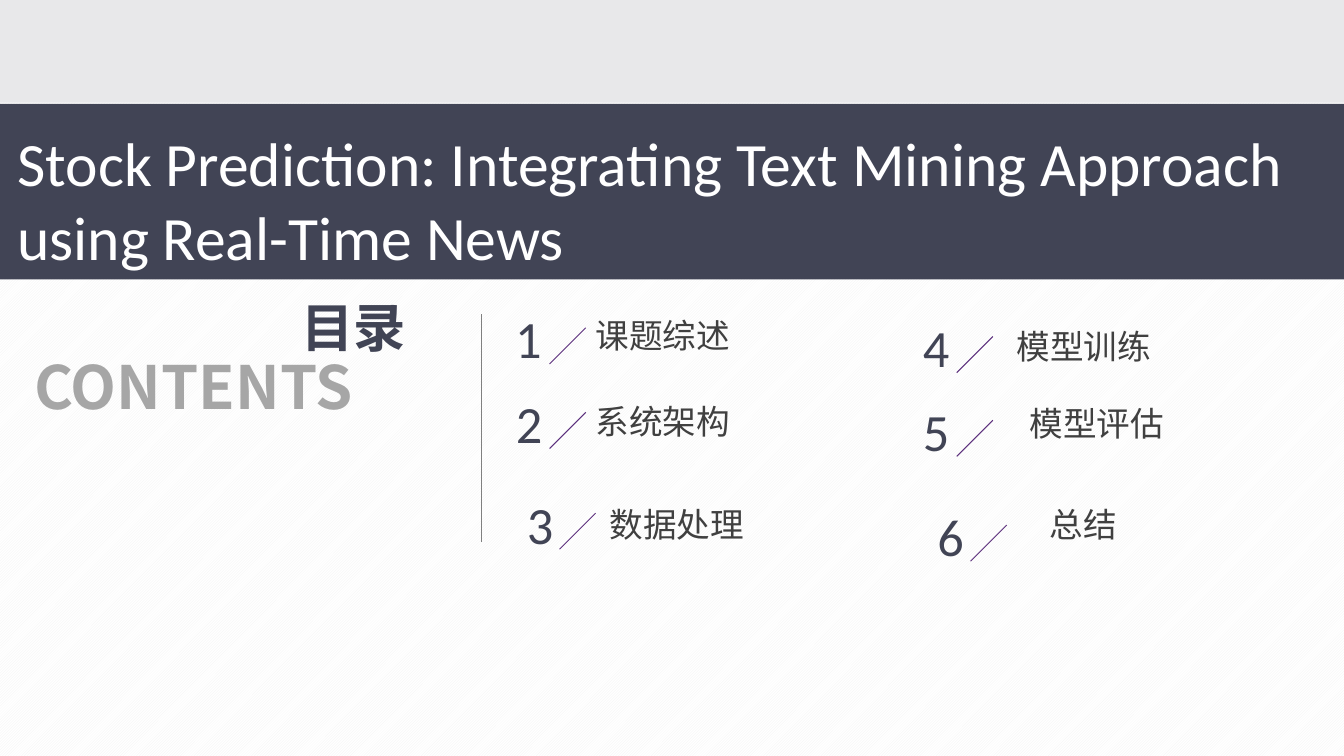
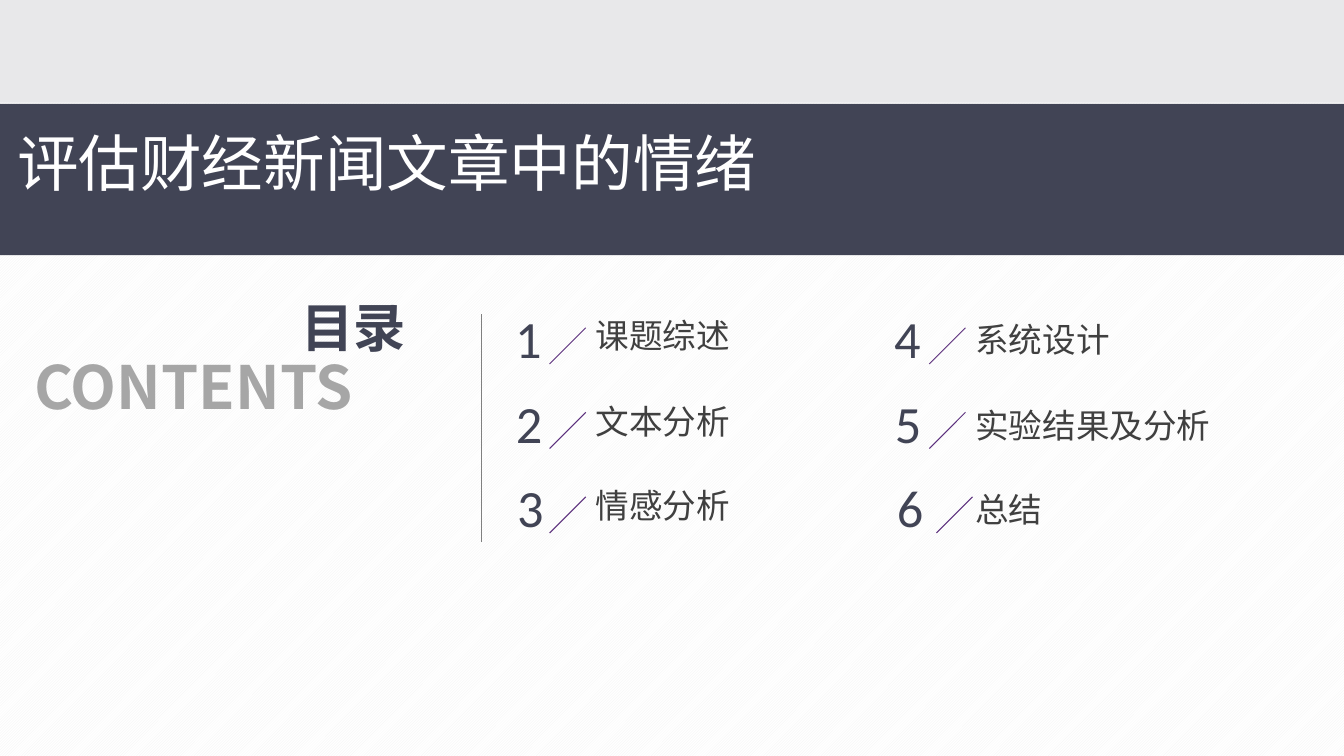
from dataclasses import dataclass

from lxml import etree
from pptx import Presentation
from pptx.dml.color import RGBColor
from pptx.enum.dml import MSO_PATTERN
from pptx.enum.shapes import MSO_CONNECTOR, MSO_SHAPE
from pptx.enum.text import MSO_ANCHOR, MSO_AUTO_SIZE, PP_ALIGN
from pptx.oxml.ns import qn
from pptx.util import Cm, Pt

LEFT, MID = PP_ALIGN.LEFT, PP_ALIGN.CENTER
TOP = MSO_ANCHOR.TOP
GROW = MSO_AUTO_SIZE.SHAPE_TO_FIT_TEXT
RECT = MSO_SHAPE.RECTANGLE
LINE = MSO_CONNECTOR.STRAIGHT
HATCH = MSO_PATTERN.LIGHT_UPWARD_DIAGONAL
TITLE_ONLY = 5
WIDE, HIGH = 33.87, 19.05


@dataclass(frozen=True)
class Theme:
    navy: str = "414455"
    pale: str = "E8E8EA"
    gray: str = "A6A6A6"
    ink: str = "404040"
    rule: str = "808080"
    slash: str = "5C307D"
    hatch: str = "F2F2F2"
    white: str = "FFFFFF"
    latin: str = "Calibri"
    han: str = "Noto Sans CJK SC"
    title: float = 44
    large: float = 42.6
    head: float = 37.4
    label: float = 24
    thin: float = 0.75


def rgb(code):
    return RGBColor.from_string(code)


def write(shape, text, *, size, color, font, bold=False, align=LEFT, wrap=False):
    frame = shape.text_frame
    frame.word_wrap = wrap
    frame.auto_size = GROW
    frame.vertical_anchor = TOP
    para = frame.paragraphs[0]
    para.alignment = align
    run = para.add_run()
    run.text = text
    run.font.size = Pt(size)
    run.font.bold = bold
    run.font.name = font
    run.font.color.rgb = rgb(color)
    east = etree.SubElement(run.font._element, qn("a:ea"))
    east.set("typeface", Theme.han)


class Deck:
    def __init__(self, theme):
        self.theme = theme
        self.file = Presentation()
        self.file.slide_width = Cm(WIDE)
        self.file.slide_height = Cm(HIGH)
        self.base = self.file.slide_layouts[TITLE_ONLY]
        self.slide = None
        fill = self.file.slide_master.background.fill
        fill.patterned()
        fill.pattern = HATCH
        fill.fore_color.rgb = rgb(theme.hatch)
        fill.back_color.rgb = rgb(theme.white)

    def page(self):
        first = self.slide is None
        self.slide = self.file.slides.add_slide(self.base)
        if first:
            strip = self.band(0, 2.59, self.theme.pale)
            self.base.shapes.element.append(strip.element)

    def band(self, top, high, color):
        shape = self.slide.shapes.add_shape(RECT, 0, Cm(top), Cm(WIDE), Cm(high))
        shape.shadow.inherit = False
        shape.fill.solid()
        shape.fill.fore_color.rgb = rgb(color)
        shape.line.fill.background()
        return shape

    def title(self, text, high, deep):
        self.band(2.62, deep, self.theme.navy)
        shape = self.slide.shapes.title
        shape.left, shape.top = Cm(0.18), Cm(3.02)
        shape.width, shape.height = Cm(33.69), Cm(high)
        write(shape, text, size=self.theme.title, color=self.theme.white,
              font=self.theme.latin, wrap=True)
        self.slide.shapes.element.append(shape.element)

    def text(self, text, left, top, wide, high, home=None, **form):
        shapes = home or self.slide.shapes
        box = shapes.add_textbox(Cm(left), Cm(top), Cm(wide), Cm(high))
        write(box, text, **form)

    def line(self, start, end, color, home=None):
        shapes = home or self.slide.shapes
        line = shapes.add_connector(LINE, *map(Cm, start + end))
        line.line.color.rgb = rgb(color)
        line.line.width = Pt(self.theme.thin)
        etree.SubElement(line._element.spPr, qn("a:effectLst"))

    def heading(self):
        look = self.theme
        self.text("CONTENTS", 0.61, 8.69, 11.58, 2.08, size=look.large,
                  color=look.gray, font=look.han, bold=True, wrap=True)
        self.text("目录", 7.34, 7.32, 3.15, 1.85, size=look.head,
                  color=look.navy, font=look.han, bold=True)
        self.line((12.14, 7.92), (12.14, 13.67), look.rule)

    def item(self, num, label, left, mark, place):
        look = self.theme
        x, y = mark
        group = self.slide.shapes.add_group_shape().shapes
        self.text(str(num), left, y - 0.66, 1.17, 1.85, group, size=look.head,
                  color=look.navy, font=look.latin, align=MID)
        self.line((x, y), (x - 0.91, y + 0.91), look.slash, group)
        wide = 0.5 + 0.85 * len(label)
        self.text(label, *place, wide, 1.27, size=look.label,
                  color=look.ink, font=look.han)

    def agenda(self, title, high, deep, items):
        self.page()
        self.heading()
        for num, item in enumerate(items, 1):
            self.item(num, *item)
        self.title(title, high, deep)


PAGES = [
    ("Stock Prediction: Integrating Text Mining Approach using Real-Time News", 4.01, 4.42, [
        ("课题综述", 12.73, (14.76, 8.26), (14.76, 7.82)),
        ("系统架构", 12.75, (14.76, 10.39), (14.76, 9.98)),
        ("数据处理", 13.03, (15.01, 12.93), (15.11, 12.57)),
        ("模型训练", 23.01, (25.02, 8.48), (25.37, 8.08)),
        ("模型评估", 23.01, (25.02, 10.59), (25.7, 10.03)),
        ("总结", 23.37, (25.37, 13.23), (26.21, 12.57)),
    ]),
    ("评估财经新闻文章中的情绪", 2.13, 3.81, [
        ("课题综述", 12.73, (14.76, 8.26), (14.76, 7.82)),
        ("文本分析", 12.75, (14.76, 10.39), (14.76, 9.98)),
        ("情感分析", 12.78, (14.76, 12.52), (14.76, 12.09)),
        ("系统设计", 22.28, (24.33, 8.26), (24.33, 7.92)),
        ("实验结果及分析", 22.3, (24.33, 10.39), (24.33, 10.08)),
        ("总结", 22.35, (24.51, 12.52), (24.33, 12.19)),
    ]),
]


def main():
    deck = Deck(Theme())
    for page in PAGES:
        deck.agenda(*page)
    deck.file.save("out.pptx")


if __name__ == "__main__":
    main()
